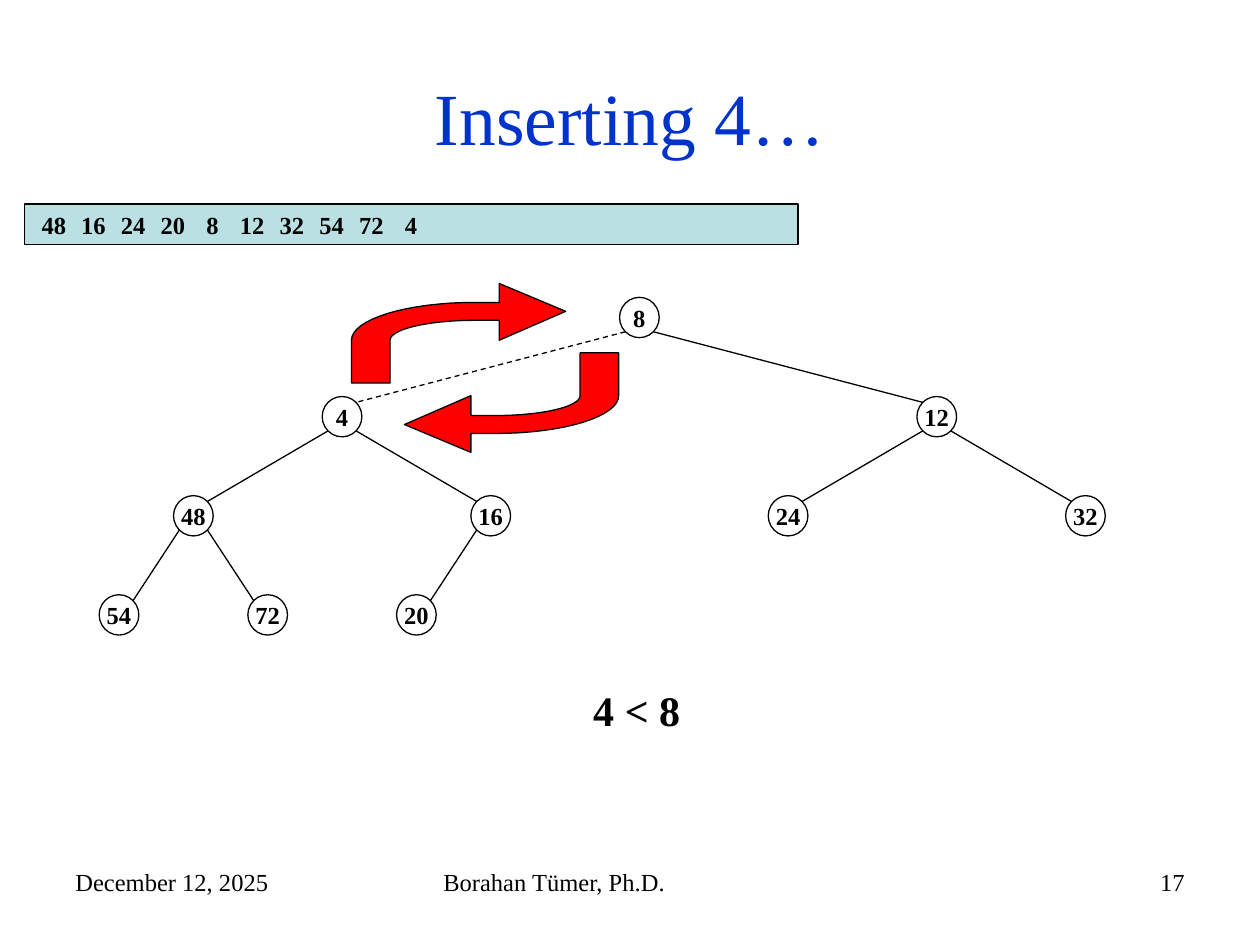
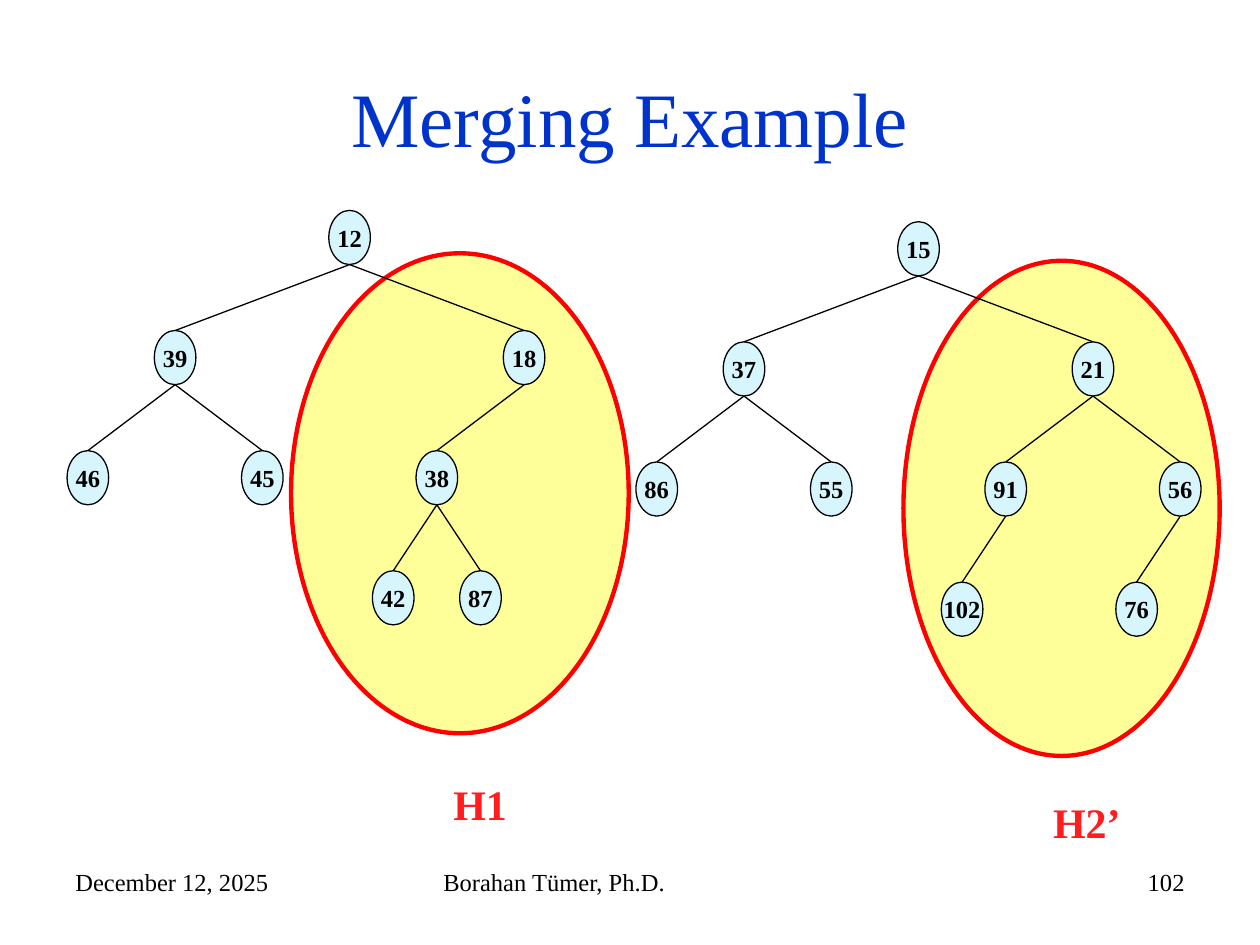
from math import cos, pi, sin, sqrt

from lxml import etree
from pptx import Presentation
from pptx.dml.color import RGBColor
from pptx.enum.dml import MSO_LINE
from pptx.enum.shapes import MSO_CONNECTOR, MSO_SHAPE
from pptx.enum.text import MSO_ANCHOR, PP_ALIGN
from pptx.oxml.ns import qn
from pptx.util import Emu, Inches, Pt

RECT, OVAL = MSO_SHAPE.RECTANGLE, MSO_SHAPE.OVAL
LINE, DASH = MSO_CONNECTOR.STRAIGHT, MSO_LINE.DASH
LEFT, MID, RIGHT = PP_ALIGN.LEFT, PP_ALIGN.CENTER, PP_ALIGN.RIGHT
TOP, CENTER = MSO_ANCHOR.TOP, MSO_ANCHOR.MIDDLE

WIDE, HIGH = Inches(10), Inches(7.5)
UNIT = WIDE / 100  # square grid: 100 columns by 75 rows


class Theme:
    font = "Times New Roman"
    ink, title, label = "000000", "0033CC", "FE1E1E"
    bar, node, halo, red = "BBE0E3", "D6F5FC", "FFFF99", "FF0000"
    small, note, head = 14, 24, 44
    thin, thick = 0.75, 2.5


def grid(*cells):
    return [Emu(round(cell * UNIT)) for cell in cells]


def rgb(color):
    return RGBColor.from_string(color)


def write(shape, text, size=Theme.small, color=Theme.ink, bold=False,
          align=LEFT, anchor=TOP, wrap=True, inset=None):
    frame = shape.text_frame
    look = {"word_wrap": wrap, "vertical_anchor": anchor}
    if inset is not None:
        sides = ("left", "top", "right", "bottom")
        look.update({f"margin_{side}": inset for side in sides})
    para = frame.paragraphs[0]
    para.text, para.alignment = text, align
    face = {"name": Theme.font, "size": Pt(size), "bold": bold}
    for part, values in ((frame, look), (para.font, face)):
        for name, value in values.items():
            setattr(part, name, value)
    para.font.color.rgb = rgb(color)


def label(slide, box, text, **look):
    write(slide.shapes.add_textbox(*grid(*box)), text, **look)


def paint(shape, fill=None, line=None, width=Theme.thin):
    shape.shadow.inherit = False
    if fill:
        shape.fill.solid()
        shape.fill.fore_color.rgb = rgb(fill)
    else:
        shape.fill.background()
    if line:
        shape.line.color.rgb = rgb(line)
        shape.line.width = Pt(width)
    else:
        shape.line.fill.background()


def block(slide, kind, box, **look):
    shape = slide.shapes.add_shape(kind, *grid(*box))
    paint(shape, **look)
    return shape


def knot(slide, box, text, **look):
    """Draw an oval that holds one key."""
    write(block(slide, OVAL, box, **look), text, bold=True, align=MID,
          anchor=CENTER, wrap=False, inset=0)


def edge(slide, start, end, dash=False):
    link = slide.shapes.add_connector(LINE, *grid(*start, *end))
    link.line.color.rgb = rgb(Theme.ink)
    link.line.width = Pt(Theme.thin)
    if dash:
        link.line.dash_style = DASH
    etree.SubElement(link._element.spPr, qn("a:effectLst"))


def tree(slide, box, keys, size, fill=None, slant=0.0, dashed=()):
    """Draw a binary tree; keys maps heap index (root 1) to text.

    slant is the share of a node's radius by which edges leave its axis.
    """
    left, top, wide, high = box
    w, h = size
    depth = max(keys).bit_length() - 1
    gap = (high - h) / depth

    def spot(index):
        level = index.bit_length() - 1
        row = 2 ** level
        return left + wide * (index - row + 0.5) / row, top + level * gap + h / 2

    out, rise = slant * w / 2, sqrt(1 - slant ** 2) * h / 2
    for index, key in keys.items():
        x, y = spot(index)
        knot(slide, (x - w / 2, y - h / 2, w, h), key, fill=fill, line=Theme.ink)
        if index > 1:
            px, py = spot(index // 2)
            side = 1 if index % 2 else -1
            edge(slide, (px + side * out, py + rise),
                 (x - side * out, y - rise), index in dashed)


def array(slide, box, keys, step):
    left, top, _, high = box
    block(slide, RECT, box, fill=Theme.bar, line=Theme.ink)
    for index, key in enumerate(keys):
        knot(slide, (left + 0.75 + index * step, top, step, high), key)


def swap(slide, box, turn=0):
    """Draw a bent arrow that rises from the lower left and points right."""
    left, top, wide, high = box
    bend, neck, steps = 0.575, 0.69, 16
    outer, inner, foot = 0.19, 0.37, 0.18

    def curve(rx, ry):
        turns = [pi / 2 * n / steps for n in range(steps + 1)]
        return [(bend - rx * sin(t), outer * 3 - ry * cos(t)) for t in turns]

    points = [(1, 0.28), (neck, 0), (neck, outer)]
    points += curve(bend, outer * 2) + [(0, 1), (foot, 1)]
    points += curve(bend - foot, outer * 3 - inner)[::-1]
    points += [(neck, inner), (neck, outer * 3)]
    spots = [grid(x * wide, y * high) for x, y in points]
    pen = slide.shapes.build_freeform(*spots[0])
    pen.add_line_segments(spots[1:], close=True)
    arrow = pen.convert_to_shape(*grid(left, top))
    paint(arrow, fill=Theme.red, line=Theme.ink)
    arrow.rotation = turn


def page(deck, title, number, size=Theme.head):
    slide = deck.slides.add_slide(deck.slide_layouts[6])
    label(slide, (5, 3, 90, 12.5), title, size=size, color=Theme.title,
          align=MID, anchor=CENTER)
    feet = ((5, 23.3, "December 12, 2025", LEFT),
            (34.2, 31.7, "Borahan Tümer, Ph.D.", LEFT),
            (71.7, 23.3, number, RIGHT))
    for left, wide, text, align in feet:
        label(slide, (left, 68.3, wide, 5.2), text, align=align)
    return slide


def insert(deck):
    slide = page(deck, "Inserting 4…", "17", size=42)
    array(slide, (1.95, 16.2, 61.4, 3.2),
          "48 16 24 20 8 12 32 54 72 4".split(), 3.15)
    keys = "8 4 12 48 16 24 32 54 72 20".split()
    tree(slide, (3.55, 23.6, 94.4, 26.8), dict(enumerate(keys, 1)),
         (3.15, 3.2), slant=sqrt(0.5), dashed={2})
    swap(slide, (27.9, 22.5, 17, 7.9))
    swap(slide, (32.1, 28, 17, 7.9), turn=180)
    label(slide, (46.1, 53.8, 8.9, 5), "4 < 8", size=Theme.note,
          bold=True, wrap=False)


def merge(deck):
    slide = page(deck, "Merging Example", "102")
    heaps = (
        ("H1", (35, 61.3), (23.1, 20.1, 26.8, 38.1), (0.05, 16.7),
         {1: "12", 2: "39", 3: "18", 4: "46", 5: "45", 6: "38",
          12: "42", 13: "87"}),
        ("H2’", (82.6, 62.7), (71.7, 20.7, 25.1, 39.3), (45.2, 17.6),
         {1: "15", 2: "37", 3: "21", 4: "86", 5: "55", 6: "91", 7: "56",
          12: "102", 14: "76"}),
    )
    for name, spot, halo, corner, keys in heaps:
        block(slide, OVAL, halo, fill=Theme.halo, line=Theme.red,
              width=Theme.thick)
        tree(slide, (*corner, 55.4, 32.9), keys, (3.3, 4.3), fill=Theme.node)
        label(slide, (*spot, 7.7, 5), name, size=Theme.note,
              color=Theme.label, bold=True)


def main():
    deck = Presentation()
    deck.slide_width, deck.slide_height = WIDE, HIGH
    insert(deck)
    merge(deck)
    deck.save("out.pptx")


if __name__ == "__main__":
    main()
